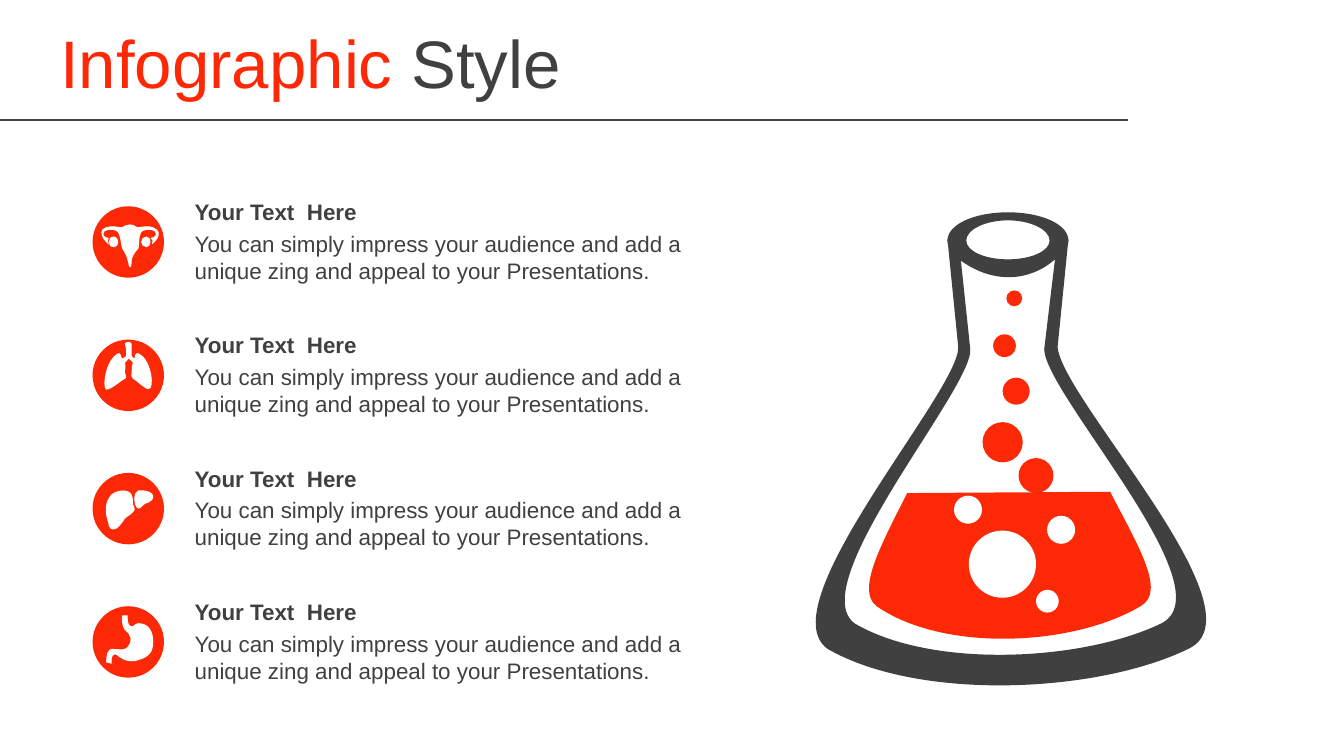
from pptx import Presentation
from pptx.dml.color import RGBColor
from pptx.enum.shapes import MSO_CONNECTOR as Connector, MSO_SHAPE as Shape
from pptx.enum.text import MSO_ANCHOR as Anchor
from pptx.oxml.ns import qn
from pptx.util import Cm, Pt
from lxml.etree import SubElement

RED = RGBColor(0xFD, 0x29, 0x06)
GRAY = RGBColor(0x40, 0x40, 0x40)
WHITE = RGBColor(0xFF, 0xFF, 0xFF)

OUTLINE_UNIT = Cm(2.54) // 100
CURVE_STEPS = 12

LIQUID = [[(675, 367), (826, 366), (846, 405, 868, 440, 849, 451),
           (799, 481, 702, 486, 652, 451), (637, 439, 656, 405, 675, 367)]]
FLASK = [
    [(785, 193), (767, 209, 740, 212, 715, 194), (722, 260),
     (724, 289, 597, 435, 636, 464), (694, 498, 806, 492, 864, 464),
     (914, 439, 778, 294, 777, 260)],
    [(705, 178), (742, 210, 776, 196, 795, 178), (787, 258),
     (789, 296, 943, 456, 884, 483), (816, 516, 684, 522, 616, 483),
     (570, 451, 715, 290, 713, 258)],
]
FLASK_RIM = [
    [(750, 164), (733, 164, 719, 171, 719, 179), (719, 187, 733, 193, 750, 193),
     (767, 193, 781, 187, 781, 179), (781, 171, 767, 164, 750, 164)],
    [(750, 158), (775, 158, 795, 167, 795, 179), (795, 190, 775, 200, 750, 200),
     (725, 200, 705, 190, 705, 179), (705, 167, 725, 158, 750, 158)],
]
UTERUS = [
    [(109, 176), (111, 176, 112, 178, 112, 180), (112, 182, 111, 184, 109, 184),
     (107, 184, 105, 182, 105, 180), (105, 178, 107, 176, 109, 176)],
    [(85, 176), (87, 176, 88, 178, 88, 180), (88, 182, 87, 184, 85, 184),
     (82, 184, 81, 182, 81, 180), (81, 178, 82, 176, 85, 176)],
    [(97, 167), (101, 167, 101, 170, 104, 169), (109, 168, 114, 168, 117, 171),
     (119, 173, 119, 177, 113, 182), (114, 180, 114, 178, 112, 177),
     (116, 177, 117, 174, 115, 172), (112, 170, 106, 171, 105, 173),
     (103, 177, 104, 182, 103, 185), (100, 188, 98, 192, 98, 194),
     (98, 195, 98, 198, 97, 199), (95, 198, 96, 195, 95, 194),
     (95, 192, 93, 188, 91, 185), (90, 182, 90, 177, 88, 173),
     (87, 171, 81, 170, 78, 172), (76, 174, 77, 177, 81, 177),
     (80, 178, 80, 180, 81, 182), (75, 177, 75, 173, 76, 171),
     (79, 168, 84, 168, 89, 169), (92, 170, 92, 167, 97, 167)],
]
LUNGS = [[
    (93, 256), (93, 254, 98, 254, 98, 256), (98, 265), (100, 267),
    (100, 265, 101, 262, 103, 263), (111, 266, 115, 283, 112, 289),
    (110, 292, 104, 285, 99, 282), (97, 281, 98, 279, 98, 277),
    (99, 275, 97, 274, 99, 270), (98, 269, 97, 268, 96, 267),
    (94, 268, 94, 269, 93, 270), (94, 272, 93, 275, 93, 277),
    (93, 279, 95, 281, 93, 282), (89, 284, 83, 290, 79, 290),
    (76, 289, 78, 268, 88, 263), (90, 262, 90, 266, 91, 267), (94, 265),
    (94, 263, 94, 259, 93, 256)]]
LIVER = [
    [(107, 365), (110, 365, 114, 367, 114, 369), (115, 371, 112, 374, 108, 375),
     (106, 376, 104, 380, 102, 378), (100, 376, 100, 372, 100, 370),
     (100, 368, 101, 366, 103, 365), (104, 365, 105, 365, 107, 365)],
    [(92, 365), (94, 365, 97, 366, 98, 368), (99, 370, 99, 372, 99, 375),
     (99, 376, 101, 379, 100, 380), (98, 383, 95, 384, 93, 386),
     (91, 389, 87, 395, 84, 394), (81, 394, 81, 390, 80, 387),
     (78, 381, 78, 373, 83, 368), (85, 366, 89, 365, 92, 365)],
]
STOMACH = [[
    (91, 458), (95, 458), (95, 461, 95, 465, 97, 466),
    (100, 467, 100, 463, 105, 464), (111, 465, 114, 470, 114, 478),
    (114, 486, 110, 489, 104, 491), (94, 495, 88, 488, 86, 487),
    (83, 487, 83, 490, 83, 494), (79, 493), (79, 489, 79, 482, 85, 483),
    (89, 483, 93, 485, 96, 480), (98, 477, 98, 473, 93, 469),
    (92, 468, 90, 464, 91, 458)]]

RED_BUBBLES = [(19.25, 8.66, 0.66), (18.57, 7.98, 0.76), (18.95, 7.14, 0.51),
               (18.77, 6.32, 0.43), (19.02, 5.49, 0.3)]
WHITE_BUBBLES = [(18.31, 10.03, 1.27), (19.79, 9.75, 0.53),
                 (18.03, 9.37, 0.53), (19.58, 11.15, 0.43)]

HEADING = "Your Text  Here"
BODY = ("You can simply impress your audience and add a unique zing "
        "and appeal to your Presentations.")
ROW_STEP = 2.52


def sample(contour):
    points = [contour[0]]
    for segment in contour[1:]:
        if len(segment) == 2:
            points.append(segment)
            continue
        corners = [points[-1], segment[:2], segment[2:4], segment[4:]]
        for step in range(1, CURVE_STEPS + 1):
            t = step / CURVE_STEPS
            weights = ((1 - t) ** 3, 3 * t * (1 - t) ** 2, 3 * t * t * (1 - t), t ** 3)
            points.append(tuple(sum(w * corner[axis] for w, corner in zip(weights, corners))
                                for axis in (0, 1)))
    return points


class SlideBuilder:
    font_name = "Arial"

    def __init__(self, slide):
        self.shapes = slide.shapes

    def paint(self, shape, color):
        shape.shadow.inherit = False
        shape.fill.solid()
        shape.fill.fore_color.rgb = color
        shape.line.fill.background()

    def circle(self, left, top, size, color):
        shape = self.shapes.add_shape(Shape.OVAL, Cm(left), Cm(top), Cm(size), Cm(size))
        self.paint(shape, color)

    def outline(self, contours, color):
        xs, ys = zip(*(point for contour in contours for point in sample(contour)))
        left, top, right, bottom = (round(edge * OUTLINE_UNIT)
                                    for edge in (min(xs), min(ys), max(xs), max(ys)))
        builder = self.shapes.build_freeform(left, top)
        builder.add_line_segments([(right, bottom)])
        shape = builder.convert_to_shape()
        curve = shape._element.spPr.find(".//" + qn("a:path"))
        for child in list(curve):
            curve.remove(child)
        for contour in contours:
            for index, segment in enumerate(contour):
                tag = "a:cubicBezTo" if len(segment) == 6 else "a:lnTo" if index else "a:moveTo"
                command = SubElement(curve, qn(tag))
                for x, y in zip(segment[::2], segment[1::2]):
                    SubElement(command, qn("a:pt"), x=str(x * OUTLINE_UNIT - left),
                               y=str(y * OUTLINE_UNIT - top))
            SubElement(curve, qn("a:close"))
        self.paint(shape, color)

    def rule(self, left, right, y, color, width):
        line = self.shapes.add_connector(Connector.STRAIGHT, Cm(left), Cm(y), Cm(right), Cm(y))
        line.line.color.rgb = color
        line.line.width = Pt(width)
        SubElement(line._element.spPr, qn("a:effectLst"))

    def text(self, left, top, width, height, runs, size, bold=False, anchor=Anchor.TOP):
        box = self.shapes.add_textbox(Cm(left), Cm(top), Cm(width), Cm(height))
        frame = box.text_frame
        frame.word_wrap = True
        frame.vertical_anchor = anchor
        paragraph = frame.paragraphs[0]
        for content, color in runs:
            run = paragraph.add_run()
            run.text = content
            run.font.name = self.font_name
            run.font.size = Pt(size)
            run.font.bold = bold
            run.font.color.rgb = color


def main():
    presentation = Presentation()
    presentation.slide_width = Cm(25.4)
    presentation.slide_height = Cm(14.29)
    builder = SlideBuilder(presentation.slides.add_slide(presentation.slide_layouts[6]))

    builder.rule(-0.03, 21.31, 2.27, GRAY, 1.5)
    builder.text(0.89, 0.36, 20.4, 1.6, [("Infographic", RED), (" Style", GRAY)], 36,
                 anchor=Anchor.MIDDLE)

    builder.outline(LIQUID, RED)
    for bubble in RED_BUBBLES:
        builder.circle(*bubble, RED)
    builder.outline(FLASK, GRAY)
    builder.outline(FLASK_RIM, GRAY)
    for bubble in WHITE_BUBBLES:
        builder.circle(*bubble, WHITE)

    for row, icon in enumerate([UTERUS, LUNGS, LIVER, STOMACH]):
        offset = row * ROW_STEP
        builder.text(3.43, 4.22 + offset, 9.86, 1.28, [(BODY, GRAY)], 12)
        builder.text(3.43, 3.62 + offset, 9.86, 0.77, [(HEADING, GRAY)], 12, bold=True)
        builder.circle(1.75, 3.9 + offset, 1.35, RED)
        builder.outline(icon, WHITE)

    presentation.save("out.pptx")


if __name__ == "__main__":
    main()
